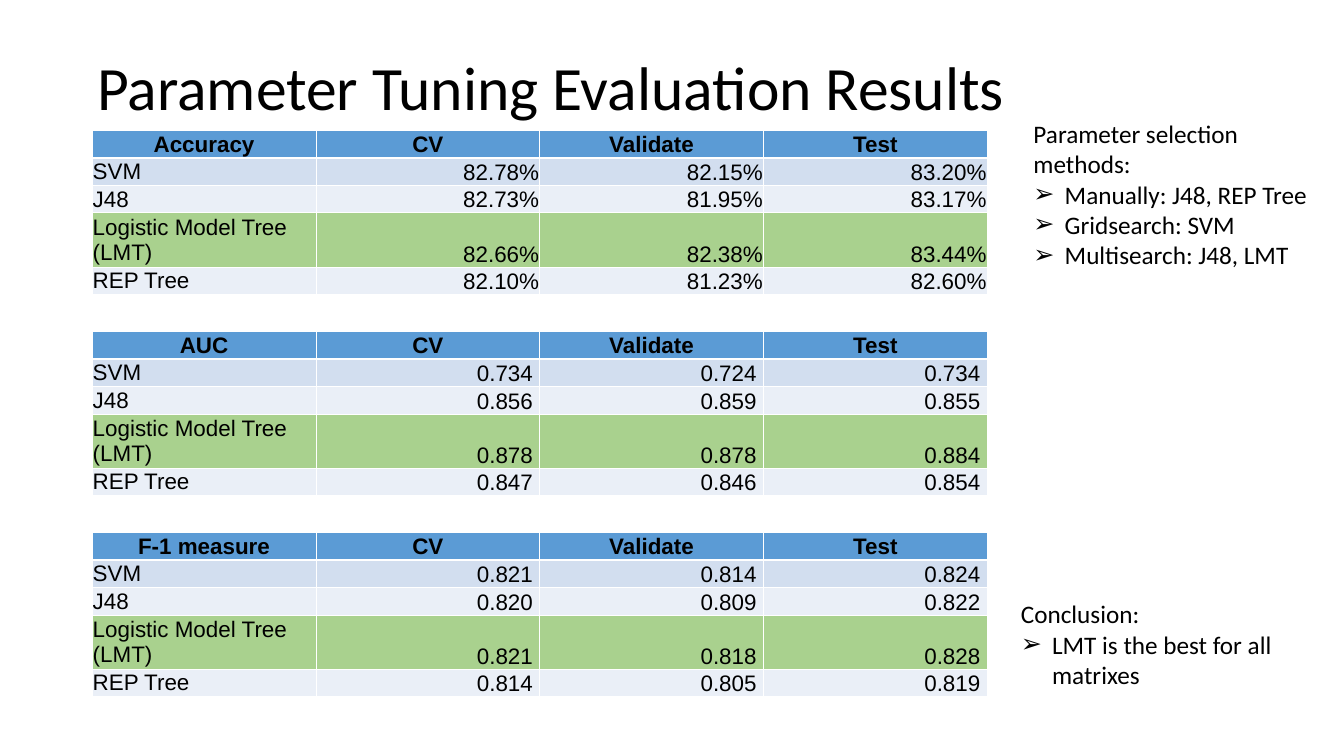
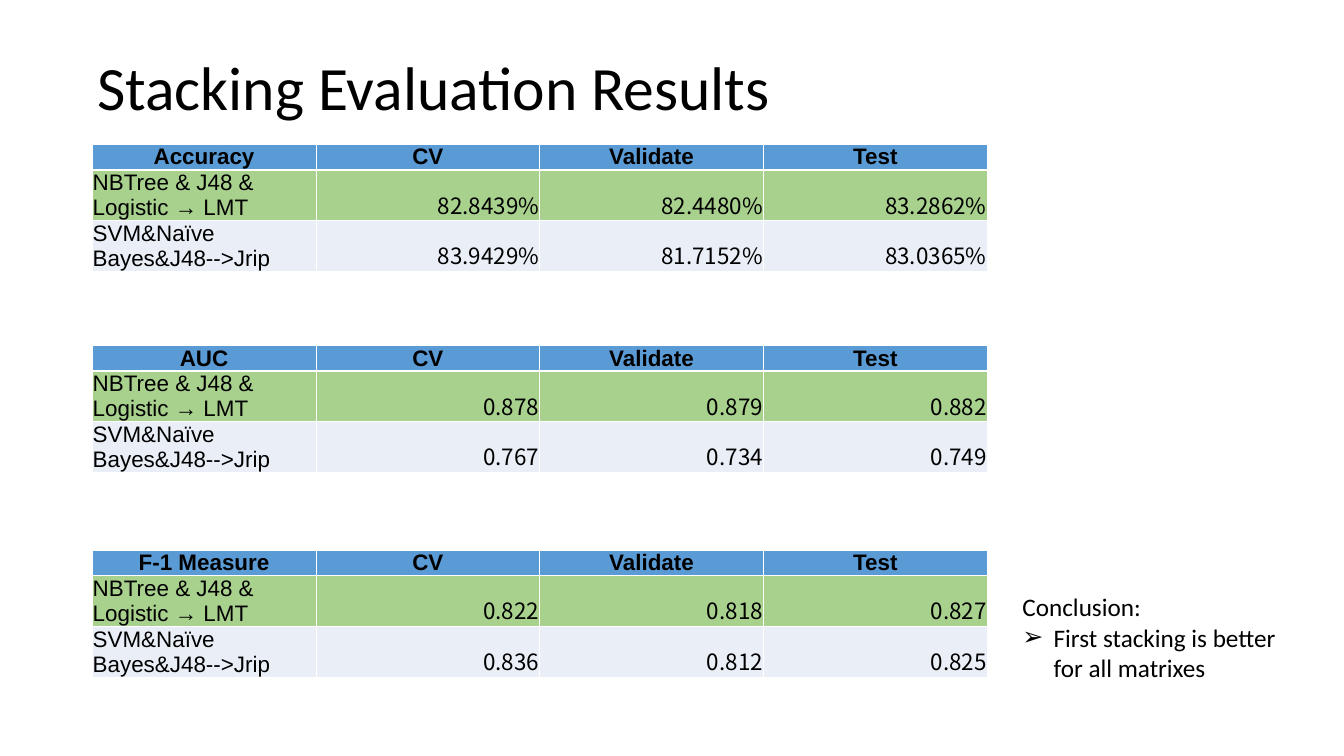
from dataclasses import dataclass

from lxml.etree import SubElement
from pptx import Presentation
from pptx.dml.color import RGBColor
from pptx.enum.text import MSO_ANCHOR, MSO_AUTO_SIZE, PP_ALIGN
from pptx.oxml import parse_xml
from pptx.oxml.ns import nsdecls, qn
from pptx.util import Inches, Pt


@dataclass(frozen=True)
class Theme:
    # Colours
    ink: str = "000000"
    paper: str = "FFFFFF"
    header: str = "5B9BD5"
    odd_row: str = "D2DEEF"
    even_row: str = "EAEFF7"
    best_row: str = "A9D18E"
    # Fonts
    text_font: str = "Calibri"
    table_font: str = "Arial"
    stacking_font: str = "Noto Sans CJK SC"
    # Type sizes in points
    title_size: int = 88
    note_size: int = 36
    table_size: int = 32


THEME = Theme()
LEFT = 1.83
COLUMNS = ["CV", "Validate", "Test"]


def write(paragraph, text, *, size, font, color=THEME.ink, bold=False,
          align=PP_ALIGN.LEFT, spacing=None):
    """Write formatted text into a paragraph."""
    paragraph.alignment = align
    if spacing:
        paragraph.line_spacing = spacing
    run = paragraph.add_run()
    run.text = text
    run.font.size = Pt(size)
    run.font.name = font
    run.font.bold = bold
    run.font.color.rgb = RGBColor.from_string(color)


def add_bullet(paragraph):
    properties = paragraph._p.get_or_add_pPr()
    properties.set("marL", str(Inches(0.62)))
    properties.set("indent", str(Inches(-0.62)))
    SubElement(properties, qn("a:buFont"), typeface="Arial")
    SubElement(properties, qn("a:buChar"), char="➢")


def add_borders(cell, color, widths):
    """Draw cell borders; widths maps L, R, T, B (in that order) to points."""
    properties = cell._tc.get_or_add_tcPr()
    for position, (side, width) in enumerate(widths.items()):
        properties.insert(position, parse_xml(
            f'<a:ln{side} {nsdecls("a")} w="{Pt(width)}"><a:solidFill>'
            f'<a:srgbClr val="{color}"/></a:solidFill></a:ln{side}>'))


class Deck:
    def __init__(self, theme):
        self.theme = theme
        self.presentation = Presentation()
        self.presentation.slide_width = Inches(26.67)
        self.presentation.slide_height = Inches(15)
        self.slide = None

    def new_slide(self, heading):
        title_only = self.presentation.slide_layouts[5]
        self.slide = self.presentation.slides.add_slide(title_only)
        fill = self.slide.background.fill
        fill.solid()
        fill.fore_color.rgb = RGBColor.from_string(self.theme.paper)
        title = self.slide.shapes.title
        title.left, title.top = Inches(LEFT), Inches(0.35)
        title.width, title.height = Inches(23), Inches(2.9)
        frame = title.text_frame
        frame.auto_size = MSO_AUTO_SIZE.NONE
        frame.vertical_anchor = MSO_ANCHOR.MIDDLE
        write(frame.paragraphs[0], heading, size=self.theme.title_size,
              font=self.theme.text_font, spacing=0.9)

    def note(self, left, top, height, heading, points):
        box = self.slide.shapes.add_textbox(
            Inches(left), Inches(top), Inches(5.75), Inches(height))
        frame = box.text_frame
        frame.word_wrap = True
        frame.auto_size = MSO_AUTO_SIZE.SHAPE_TO_FIT_TEXT
        style = dict(size=self.theme.note_size, font=self.theme.text_font)
        write(frame.paragraphs[0], heading, **style)
        for point in points:
            paragraph = frame.add_paragraph()
            write(paragraph, point, **style)
            add_bullet(paragraph)

    def score_table(self, top, height, measure, scores, best, score_font):
        """Add one measure's table; scores maps each model to its values."""
        rows = [[measure, *COLUMNS]]
        rows += [[model, *values] for model, values in scores.items()]
        graphic = self.slide.shapes.add_table(
            len(rows), len(rows[0]), Inches(LEFT), Inches(top),
            Inches(17.78), Inches(height))
        table = graphic.table
        table.first_row = table.horz_banding = False
        for column in table.columns:
            column.width = Inches(4.44)
        for index, values in enumerate(rows):
            table.rows[index].height = Inches(0.41)
            for place, value in enumerate(values):
                self.score_cell(table.cell(index, place), value, index,
                                place, index == best, score_font)
        graphic.height = Inches(height)

    def score_cell(self, cell, value, row, column, is_best, score_font):
        theme = self.theme
        is_header, is_score = row == 0, row > 0 and column > 0
        cell.margin_left = cell.margin_right = cell.margin_top = Inches(0.01)
        cell.margin_bottom = 0
        cell.vertical_anchor = MSO_ANCHOR.BOTTOM if is_score else MSO_ANCHOR.MIDDLE
        if is_header:
            fill, align = theme.header, PP_ALIGN.CENTER
        else:
            band = theme.odd_row if row % 2 else theme.even_row
            fill = theme.best_row if is_best else band
            align = PP_ALIGN.RIGHT if is_score else PP_ALIGN.LEFT
        cell.fill.solid()
        cell.fill.fore_color.rgb = RGBColor.from_string(fill)
        write(cell.text_frame.paragraphs[0], value, size=theme.table_size,
              font=score_font if is_score else theme.table_font,
              bold=is_header, align=align)
        # The header's thick lower edge also tops the first body row
        edges = dict(L=1, R=1, T=1, B=3) if is_header else dict(L=1, R=1, B=1)
        add_borders(cell, theme.paper, edges)


def tuning_slide(deck):
    models = ["SVM", "J48", "Logistic Model Tree (LMT)", "REP Tree"]
    measures = {
        "Accuracy": [["82.78%", "82.15%", "83.20%"],
                     ["82.73%", "81.95%", "83.17%"],
                     ["82.66%", "82.38%", "83.44%"],
                     ["82.10%", "81.23%", "82.60%"]],
        "AUC": [["0.734 ", "0.724 ", "0.734 "],
                ["0.856 ", "0.859 ", "0.855 "],
                ["0.878 ", "0.878 ", "0.884 "],
                ["0.847 ", "0.846 ", "0.854 "]],
        "F-1 measure": [["0.821 ", "0.814 ", "0.824 "],
                        ["0.820 ", "0.809 ", "0.822 "],
                        ["0.821 ", "0.818 ", "0.828 "],
                        ["0.814 ", "0.805 ", "0.819 "]],
    }
    deck.new_slide("Parameter Tuning Evaluation Results")
    deck.note(20.41, 2.3, 3.13, "Parameter selection methods:",
              ["Manually: J48, REP Tree", "Gridsearch: SVM",
               "Multisearch: J48, LMT"])
    for index, (measure, scores) in enumerate(measures.items()):
        deck.score_table(2.59 + 3.99 * index, 3.25, measure,
                         dict(zip(models, scores)), best=3,
                         score_font=deck.theme.table_font)
    deck.note(20.16, 11.83, 1.92, "Conclusion:",
              ["LMT is the best for all matrixes"])


def stacking_slide(deck):
    stacks = ["NBTree & J48 & Logistic → LMT", "SVM&Naïve Bayes&J48-->Jrip"]
    measures = [
        (2.86, "Accuracy", [["82.8439%", "82.4480%", "83.2862%"],
                            ["83.9429%", "81.7152%", "83.0365%"]]),
        (6.85, "AUC", [["0.878", "0.879", "0.882"],
                       ["0.767", "0.734", "0.749"]]),
        (10.91, "F-1 Measure", [["0.822", "0.818", "0.827"],
                                ["0.836", "0.812", "0.825"]]),
    ]
    deck.new_slide("Stacking Evaluation Results")
    for top, measure, scores in measures:
        deck.score_table(top, 2.7, measure, dict(zip(stacks, scores)), best=1,
                         score_font=deck.theme.stacking_font)
    deck.note(20.19, 11.69, 1.92, "Conclusion:",
              ["First stacking is better for all matrixes"])


def main():
    deck = Deck(THEME)
    tuning_slide(deck)
    stacking_slide(deck)
    deck.presentation.save("out.pptx")


if __name__ == "__main__":
    main()
